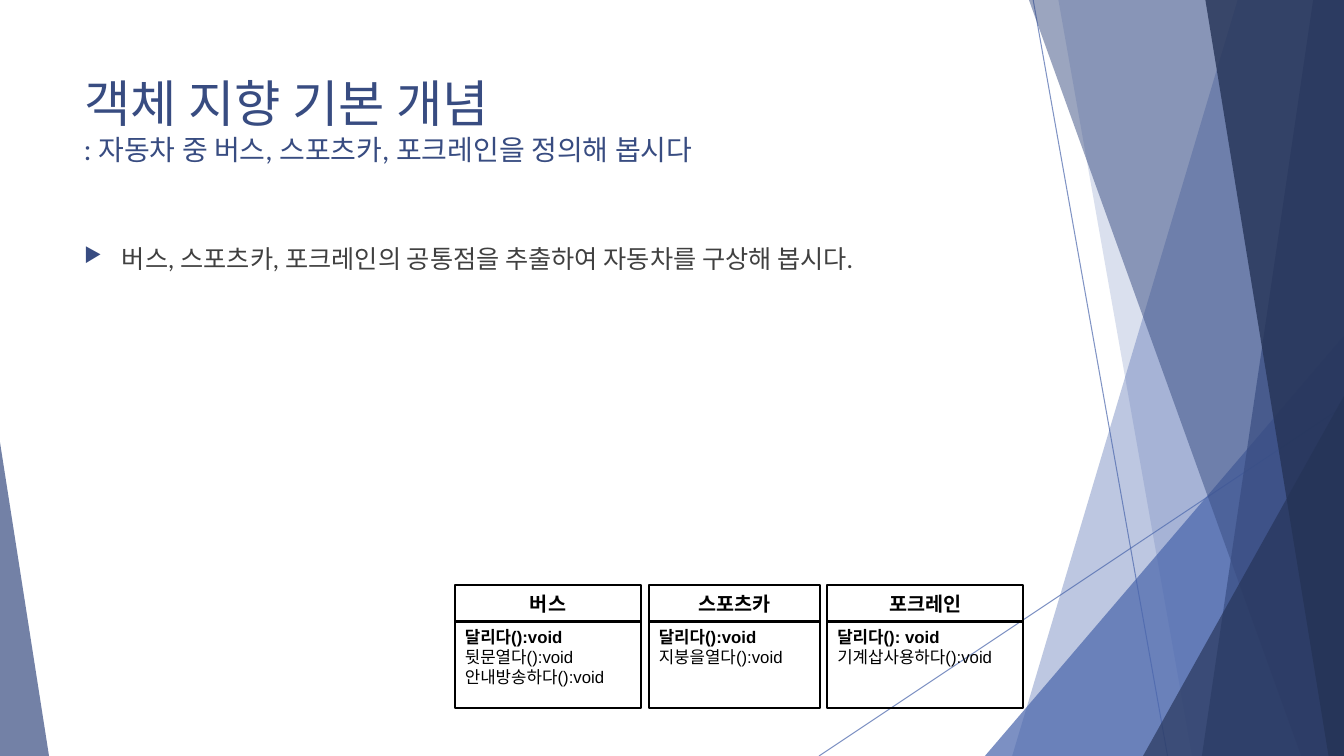
import pptx
import pptx.dml.color
import pptx.enum.dml
import pptx.enum.shapes
import pptx.enum.text
import pptx.oxml
import pptx.oxml.ns
import pptx.util

Pt = pptx.util.Pt
RGBColor = pptx.dml.color.RGBColor
SHAPE = pptx.enum.shapes.MSO_SHAPE
ALIGN = pptx.enum.text.PP_ALIGN
ANCHOR = pptx.enum.text.MSO_ANCHOR

BLUE = RGBColor(0x4A, 0x66, 0xAC)
NAVY = RGBColor(0x38, 0x4C, 0x81)
MIDNIGHT = RGBColor(0x25, 0x33, 0x56)
GRAY = RGBColor(0x40, 0x40, 0x40)
BLACK = RGBColor(0, 0, 0)
WIDTH, HEIGHT = 960, 540

BEAMS = [((738, 0), (834, 540)), ((960, 290), (585, 540))]
FACETS = [
    ("polygon", [(884, 0), (960, 0), (960, 540), (723, 540)], BLUE, 36),
    ("polygon", [(756, 0), (960, 0), (960, 540), (851.5, 540)], BLUE, 20),
    ("triangle", (703.5, 240, 256.5, 300, 1), BLUE, 72),
    ("polygon", [(735, 0), (960, 0), (960, 540), (929.5, 540)], NAVY, 50),
    ("polygon", [(938, 0), (960, 0), (960, 540), (858.5, 540)], NAVY, 70),
    ("polygon", [(861, 0), (960, 0), (960, 540), (949, 540)], MIDNIGHT, 80),
    ("triangle", (816.5, 283, 143.5, 257, 1), MIDNIGHT, 66),
    ("triangle", (0, 316, 35, 224, 0), NAVY, 70),
]
CLASSES = [
    ("버스", 133, ["달리다():void", "뒷문열다():void", "안내방송하다():void"]),
    ("스포츠카", 122, ["달리다():void", "지붕을열다():void"]),
    ("포크레인", 140, ["달리다(): void", "기계삽사용하다():void"]),
]


def add_element(parent, tag, **attributes):
    """Append a DrawingML element with the given attributes."""
    element = pptx.oxml.ns.qn(tag)
    child = parent.makeelement(element, {name: str(value) for name, value in attributes.items()})
    parent.append(child)
    return child


def set_alpha(owner, percent):
    """Make the solid colour of a fill or line partly transparent."""
    color = owner.find(".//" + pptx.oxml.ns.qn("a:srgbClr"))
    add_element(color, "a:alpha", val=percent * 1000)


def add_span(para, text, color, **formats):
    """Add a run with its colour and font values."""
    span = para.add_run()
    span.text = text
    span.font.color.rgb = color
    for name, value in formats.items():
        setattr(span.font, name, value)


def add_text_box(page, box):
    """Add a wrapping text box and return its first paragraph."""
    shape = page.shapes.add_textbox(*map(Pt, box))
    shape.text_frame.word_wrap = True
    return shape.text_frame.paragraphs[0]


def draw_backdrop(page, box):
    """Draw the thin beams and translucent facets."""
    left, top = box[:2]
    for start, end in BEAMS:
        beam = page.shapes.add_connector(
            pptx.enum.shapes.MSO_CONNECTOR.STRAIGHT,
            Pt(left + start[0]), Pt(top + start[1]), Pt(left + end[0]), Pt(top + end[1]))
        beam.line.width = Pt(0.75)
        beam.line.color.rgb = BLUE
        properties = beam._element.spPr
        set_alpha(properties, 70)
        add_element(properties, "a:effectLst")
    for kind, geometry, color, alpha in FACETS:
        if kind == "polygon":
            points = [(Pt(left + x), Pt(top + y)) for x, y in geometry]
            builder = page.shapes.build_freeform(*points[0])
            builder.add_line_segments(points[1:], close=True)
            facet = builder.convert_to_shape()
        else:
            x, y, width, height, apex = geometry
            facet = page.shapes.add_shape(
                SHAPE.ISOSCELES_TRIANGLE, Pt(left + x), Pt(top + y), Pt(width), Pt(height))
            facet.adjustments[0] = apex
        facet.shadow.inherit = False
        facet.fill.solid()
        facet.fill.fore_color.rgb = color
        facet.line.fill.background()
        set_alpha(facet._element.spPr, alpha)


def draw_title(page, box):
    """Write the heading with its smaller second line."""
    para = add_text_box(page, box)
    add_span(para, "객체 지향 기본 개념", NAVY, name="Lato", size=Pt(36))
    para.add_line_break()
    add_span(para, ": 자동차 중 버스, 스포츠카, 포크레인을 정의해 봅시다", NAVY,
             name="Lato", size=Pt(20))


def draw_task(page, box):
    """Write the bulleted task."""
    para = add_text_box(page, box)
    properties = para._p.get_or_add_pPr()
    for name, value in {"marL": Pt(27), "indent": -Pt(27)}.items():
        properties.set(name, str(value))
    add_element(add_element(properties, "a:buClr"), "a:srgbClr", val=NAVY)
    add_element(properties, "a:buSzPct", val=80000)
    add_element(properties, "a:buChar", char="▶")
    add_span(para, "버스, 스포츠카, 포크레인의 공통점을 추출하여 자동차를 구상해 봅시다.", GRAY,
             name="Lato", size=Pt(18))


def draw_compartment(page, box, lines, size, align, anchor):
    """Draw one outlined class compartment with a bold first line."""
    shape = page.shapes.add_shape(SHAPE.RECTANGLE, *map(Pt, box))
    shape.shadow.inherit = False
    shape.fill.background()
    shape.line.color.rgb = BLACK
    shape.line.width = Pt(1.5)
    frame = shape.text_frame
    frame.word_wrap = True
    frame.vertical_anchor = anchor
    for index, line in enumerate(lines):
        para = frame.add_paragraph() if index else frame.paragraphs[0]
        para.alignment = align
        add_span(para, line, BLACK, name="Arial", size=Pt(size), bold=index == 0)


def draw_classes(page, box):
    """Lay the class diagrams side by side."""
    left, top, width, height = box
    header = 26
    gap = (width - sum(item[1] for item in CLASSES)) / (len(CLASSES) - 1)
    for name, card, methods in CLASSES:
        draw_compartment(page, (left, top + header, card, height - header), methods,
                         12, ALIGN.LEFT, ANCHOR.TOP)
        draw_compartment(page, (left, top, card, header), [name],
                         14, ALIGN.CENTER, ANCHOR.MIDDLE)
        left += card + gap


def main():
    """Build and save the slide."""
    deck = pptx.Presentation()
    deck.slide_width, deck.slide_height = Pt(WIDTH), Pt(HEIGHT)
    page = deck.slides.add_slide(deck.slide_layouts[6])
    draw_backdrop(page, (0, 0, WIDTH, HEIGHT))
    draw_title(page, (53, 48, 677, 104))
    draw_classes(page, (325, 418, 406, 88))
    draw_task(page, (53, 170, 677, 305))
    deck.save("out.pptx")


if __name__ == "__main__":
    main()
